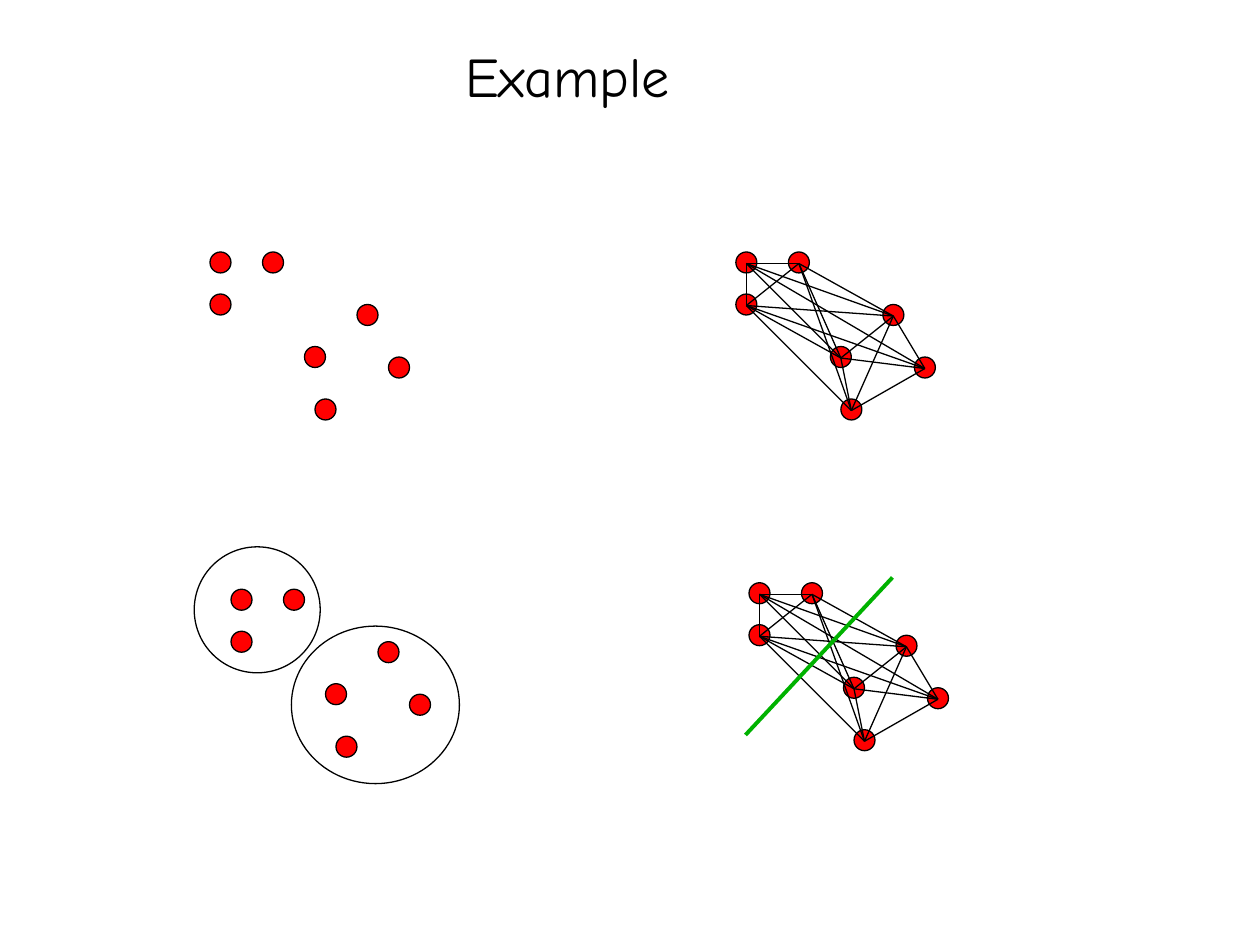
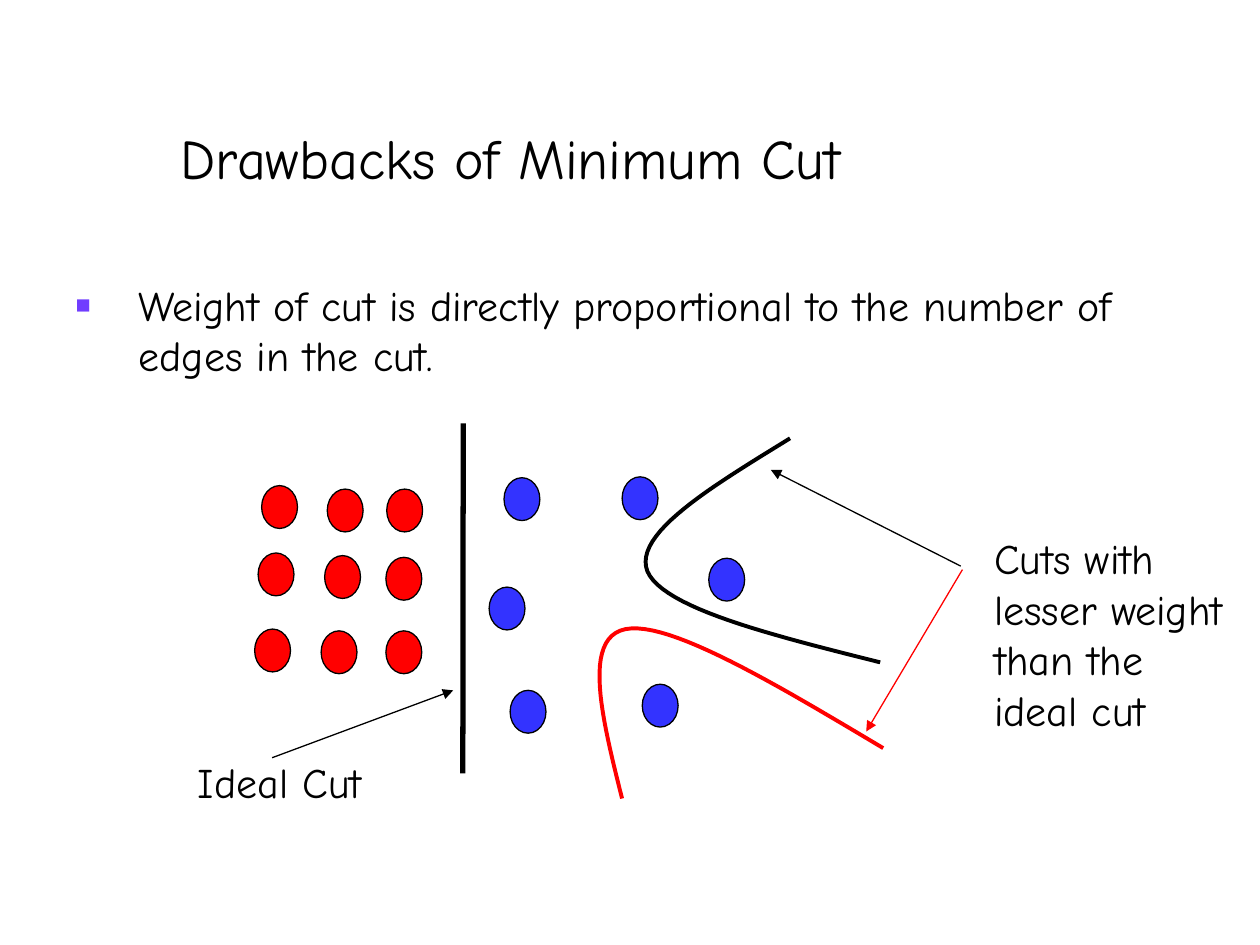
from dataclasses import dataclass
from itertools import combinations

from pptx import Presentation
from pptx.dml.color import RGBColor
from pptx.enum.shapes import MSO_CONNECTOR, MSO_SHAPE
from pptx.enum.text import MSO_ANCHOR, MSO_AUTO_SIZE, PP_ALIGN
from pptx.oxml.ns import qn
from pptx.util import Pt
from lxml import etree

OVAL = MSO_SHAPE.OVAL
LINE = MSO_CONNECTOR.STRAIGHT
TOP, MIDDLE, BOTTOM = MSO_ANCHOR.TOP, MSO_ANCHOR.MIDDLE, MSO_ANCHOR.BOTTOM
LEFT, CENTER = PP_ALIGN.LEFT, PP_ALIGN.CENTER
FIXED, GROW = MSO_AUTO_SIZE.NONE, MSO_AUTO_SIZE.SHAPE_TO_FIT_TEXT


@dataclass(frozen=True)
class Theme:
    font: str = "Comic Neue"
    head: int = 32
    text: int = 24
    thin: float = 0.75
    bold: float = 2.25
    thick: float = 3
    black: str = "000000"
    red: str = "FF0000"
    blue: str = "3333FF"
    green: str = "00B200"
    mark: str = "703DFF"


# Graph nodes relative to the first dot; every pair but two is joined
NODES = [(0, 0), (0, 24), (84, 30), (60, 84), (102, 60), (54, 54), (30, 0)]
EDGES = [pair for pair in combinations(range(7), 2)
         if pair not in ((0, 3), (4, 6))]
DOT = 12
PIN = (6, 6.6)


class Deck:
    def __init__(self, theme):
        self.theme = theme
        self.file = Presentation()
        self.file.slide_width, self.file.slide_height = Pt(720), Pt(540)

    def start(self, layout):
        self.slide = self.file.slides.add_slide(self.file.slide_layouts[layout])
        self.pen = self.slide.shapes

    def group(self):
        self.pen = self.slide.shapes.add_group_shape().shapes

    def tint(self, name):
        return RGBColor.from_string(getattr(self.theme, name))

    # Text
    def letter(self, box, lines, size, anchor=TOP, align=LEFT, fit=FIXED):
        frame = box.text_frame
        frame.auto_size = fit
        frame.word_wrap = fit == FIXED
        frame.vertical_anchor = anchor
        for i, line in enumerate(lines):
            para = frame.add_paragraph() if i else frame.paragraphs[0]
            para.alignment = align
            para.space_before = Pt(0)
            run = para.add_run()
            run.text = line
            run.font.name = self.theme.font
            run.font.size = Pt(size)
            run.font.color.rgb = self.tint("black")

    def place(self, box, area):
        box.left, box.top, box.width, box.height = map(Pt, area)

    def title(self, text, area, anchor, align):
        box = self.slide.shapes.title
        self.place(box, area)
        self.letter(box, [text], self.theme.head, anchor, align)

    def points(self, lines, area):
        box = self.slide.placeholders[1]
        self.place(box, area)
        self.letter(box, lines, self.theme.text)
        for para in box.text_frame.paragraphs:
            props = para._p.get_or_add_pPr()
            props.set("marL", str(Pt(36)))
            props.set("indent", str(Pt(-36)))
            tone = etree.SubElement(props, qn("a:buClr"))
            etree.SubElement(tone, qn("a:srgbClr"), val=self.theme.mark)
            etree.SubElement(props, qn("a:buSzPct"), val="60000")
            etree.SubElement(props, qn("a:buChar"), char="■")

    def label(self, lines, area):
        box = self.pen.add_textbox(*map(Pt, area))
        self.letter(box, lines, self.theme.text, fit=GROW)

    # Shapes and lines
    def style(self, item, color, width):
        item.line.color.rgb = self.tint(color)
        item.line.width = Pt(width)

    def oval(self, x, y, wide, high, fill=None):
        shape = self.pen.add_shape(OVAL, *map(Pt, (x, y, wide, high)))
        shape.shadow.inherit = False
        self.style(shape, "black", self.theme.thin)
        if fill:
            shape.fill.solid()
            shape.fill.fore_color.rgb = self.tint(fill)
        else:
            shape.fill.background()

    def line(self, start, end, color="black", width=None, arrow=False):
        item = self.pen.add_connector(LINE, *map(Pt, (*start, *end)))
        self.style(item, color, width or self.theme.thin)
        props = item._element.spPr
        if arrow:
            etree.SubElement(props.find(qn("a:ln")), qn("a:tailEnd"),
                             type="triangle")
        etree.SubElement(props, qn("a:effectLst"))

    def curve(self, knots, color, steps=24):
        """Draw a chain of cubic curves: a start, then three knots for each."""
        spots = []
        for i in range(0, len(knots) - 1, 3):
            a, b, c, d = knots[i:i + 4]
            for t in (n / steps for n in range(1, steps + 1)):
                u = 1 - t
                spots.append(tuple(
                    Pt(u**3 * p + 3 * u * u * t * q + 3 * u * t * t * r + t**3 * s)
                    for p, q, r, s in zip(a, b, c, d)))
        build = self.pen.build_freeform(*map(Pt, knots[0]))
        build.add_line_segments(spots, close=False)
        shape = build.convert_to_shape()
        shape.shadow.inherit = False
        shape.fill.background()
        self.style(shape, color, self.theme.bold)

    # Clusters
    def dots(self, x, y):
        for dx, dy in NODES:
            self.oval(x + dx, y + dy, DOT, DOT, "red")

    def graph(self, x, y):
        self.dots(x, y)
        pins = [(x + dx + PIN[0], y + dy + PIN[1]) for dx, dy in NODES]
        for a, b in EDGES:
            self.line(pins[a], pins[b])


def example(deck):
    deck.start(5)
    deck.title("Example", (54, 18, 540.5, 48), BOTTOM, CENTER)

    # Points, and the full graph
    deck.group()
    deck.dots(120, 144)
    deck.group()
    deck.graph(420.5, 144)

    # Graph with its cut
    deck.group()
    deck.graph(428, 333)
    deck.line((510, 330), (426, 420), "green", deck.theme.bold)

    # Two clusters
    deck.group()
    deck.dots(132, 336.7)
    deck.oval(111, 312.5, 72, 72)
    deck.oval(166.5, 357.8, 96, 90)


def drawbacks(deck):
    deck.start(1)
    deck.title("Drawbacks of Minimum Cut", (96, 36, 594, 108), MIDDLE, LEFT)
    deck.points(["Weight of cut is directly proportional to the number of "
                 "edges in the cut."], (36, 156, 648, 306))

    # Dense and sparse dots
    sets = {
        "red": [(149.5, 277.5), (187, 279.5), (221, 279.5),
                (147.5, 316), (185.5, 317.5), (220.5, 318.5),
                (145.5, 359.5), (183.5, 360.5), (220.5, 360.5)],
        "blue": [(288, 273), (355.5, 272.5), (405, 319),
                 (279.5, 335.5), (291.5, 394.5), (367, 391)],
    }
    for fill, spots in sets.items():
        for x, y in spots:
            deck.oval(x, y, 20.5, 24.5, fill)

    # Ideal cut
    deck.line((264.7, 242), (264.5, 442), width=deck.theme.thick)
    deck.line((155.5, 433), (259, 394.5), arrow=True)
    deck.label(["Ideal Cut"], (106, 428.5, 108, 36))

    # Lesser cuts
    deck.curve([(451.5, 250.5), (407, 278), (361.5, 305), (370, 326.5),
                (379, 347.5), (441, 363), (503, 378.5)], "black")
    deck.curve([(504.7, 427.5), (443.5, 391), (382.5, 354.5), (357.5, 359.5),
                (332.5, 364.5), (344, 410.5), (355.5, 456.3)], "red")
    deck.line((549, 323.5), (440.5, 268.5), arrow=True)
    deck.line((550, 325.5), (495, 418), "red", arrow=True)
    deck.label(["Cuts with", "lesser weight", "than the", "ideal cut"],
               (561, 301, 145.5, 122.5))


def main():
    deck = Deck(Theme())
    example(deck)
    drawbacks(deck)
    deck.file.save("out.pptx")


if __name__ == "__main__":
    main()
